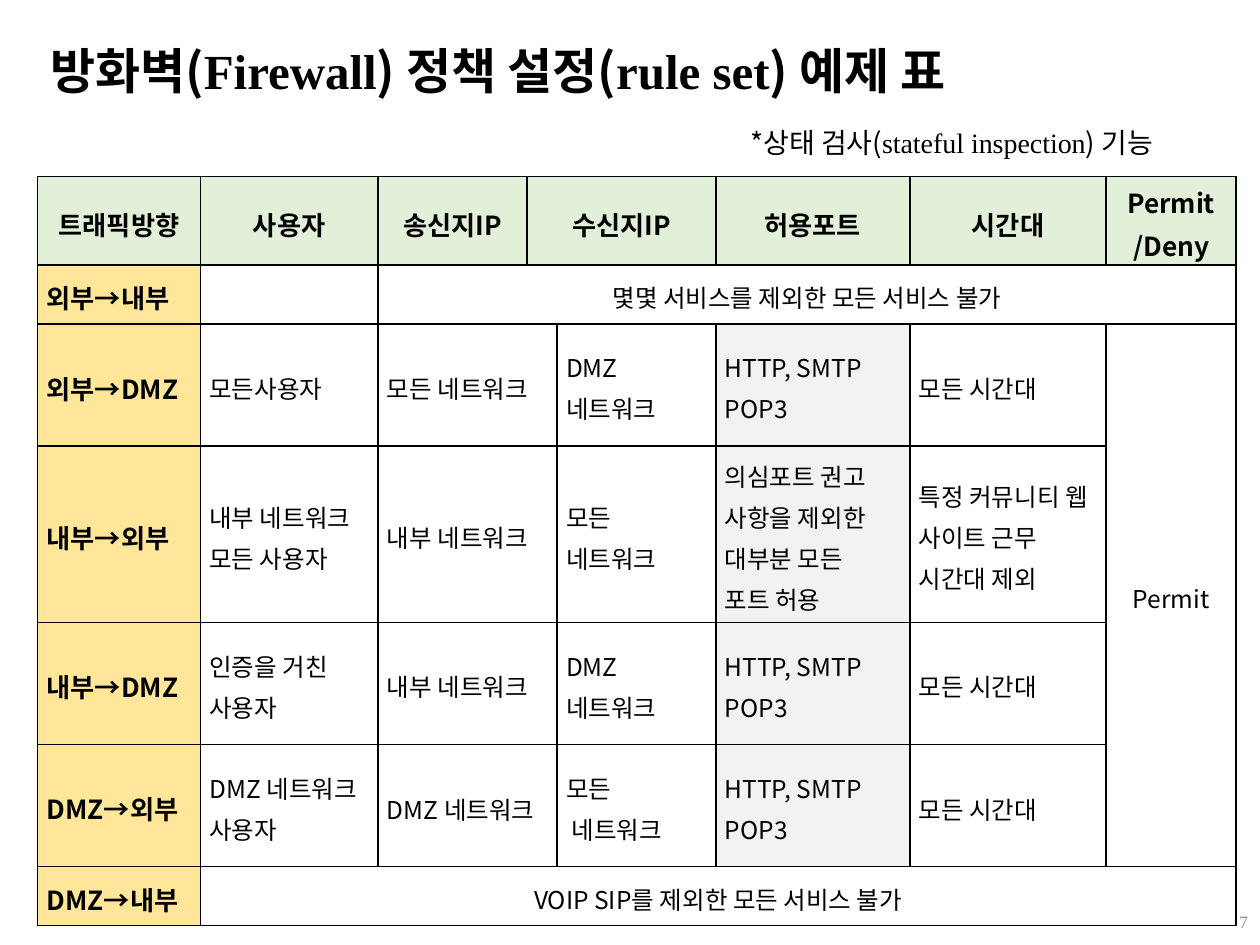
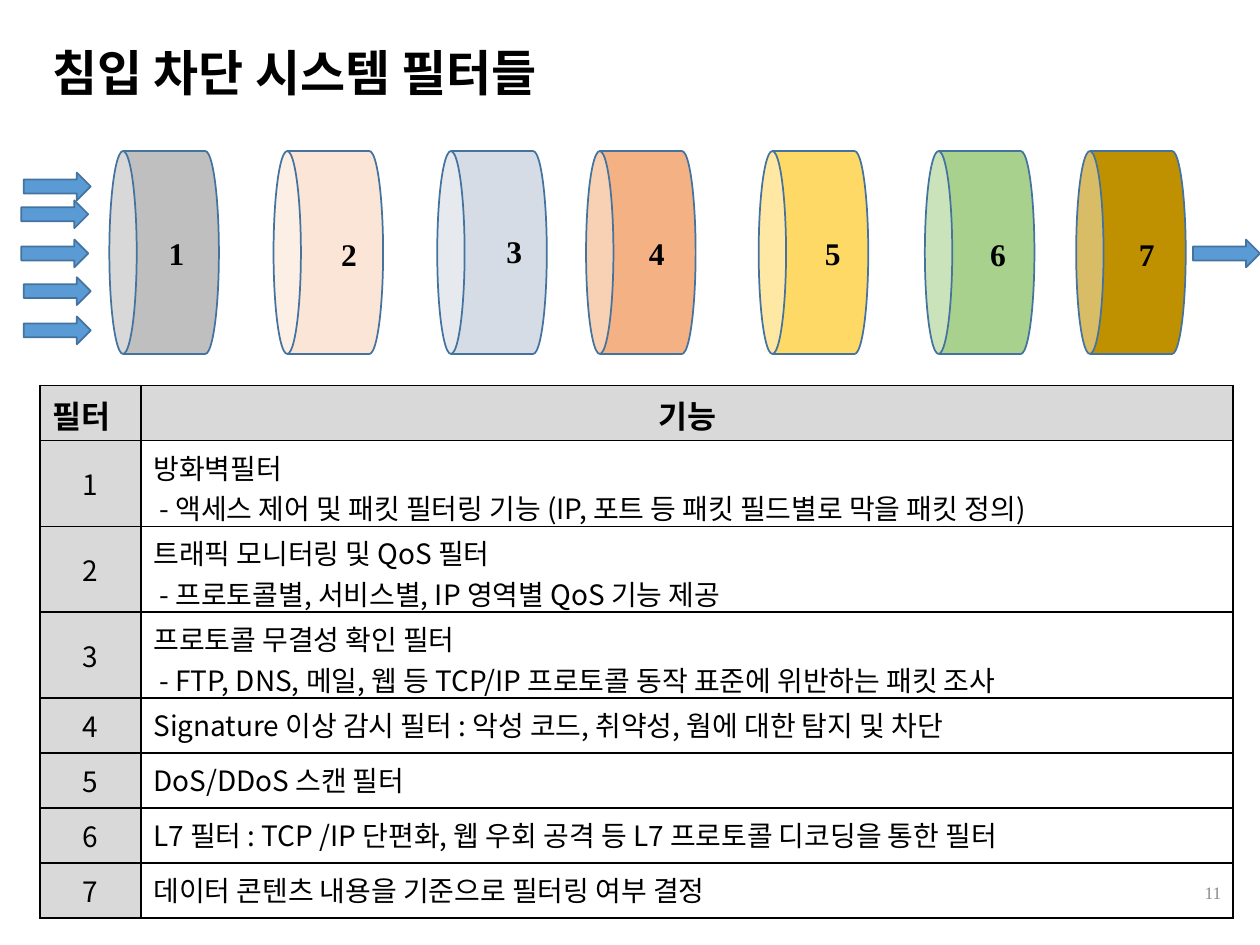
from dataclasses import dataclass

from lxml.etree import SubElement
from pptx import Presentation
from pptx.dml.color import RGBColor
from pptx.enum.shapes import MSO_SHAPE as SHAPE
from pptx.enum.text import MSO_ANCHOR as ANCHOR, MSO_AUTO_SIZE as AUTO, PP_ALIGN as ALIGN
from pptx.oxml.ns import qn
from pptx.util import Cm, Pt


@dataclass(frozen=True)
class Theme:
    sans: str = "Noto Sans CJK KR"
    serif: str = "Times New Roman"
    ink: str = "000000"
    muted: str = "8C8C8C"
    header: str = "E2F0D9"
    direction: str = "FFE699"
    port: str = "F2F2F2"
    grey: str = "D9D9D9"
    arrow: str = "5B9BD5"
    outline: str = "43739E"
    title: int = 28
    heading: int = 18
    body: int = 16
    rule_heading: int = 15
    rule: int = 14
    number: int = 10


T = Theme()
LEFT, ABOVE = "<", "^"

RULE_TITLE = [("방화벽(", T.sans), ("Firewall", T.serif), (") 정책 설정(", T.sans),
              ("rule set", T.serif), (") 예제 표", T.sans)]
RULE_NOTE = [("*상태 검사(", T.sans), ("stateful inspection", T.serif), (") 기능", T.sans)]
RULE_COLS = [3.28, 3.58, 3, 0.61, 3.2, 3.91, 3.96, 2.62]
RULE_HEIGHTS = [1.78, 1.19, 2.46, 3.56, 2.46, 2.46, 1.19]
MAIL_PORTS = "HTTP, SMTP\nPOP3"
RULES = [
    ["트래픽방향", "사용자", "송신지IP", "수신지IP", LEFT, "허용포트", "시간대", "Permit\n/Deny"],
    ["외부→내부", "", "몇몇 서비스를 제외한 모든 서비스 불가"] + [LEFT] * 5,
    ["외부→DMZ", "모든사용자", "모든 네트워크", LEFT, "DMZ\n네트워크", MAIL_PORTS,
     "모든 시간대", "Permit"],
    ["내부→외부", "내부 네트워크\n모든 사용자", "내부 네트워크", LEFT, "모든\n네트워크",
     "의심포트 권고 사항을 제외한\n대부분 모든\n포트 허용",
     "특정 커뮤니티 웹 사이트 근무 시간대 제외", ABOVE],
    ["내부→DMZ", "인증을 거친\n사용자", "내부 네트워크", LEFT, "DMZ\n네트워크", MAIL_PORTS,
     "모든 시간대", ABOVE],
    ["DMZ→외부", "DMZ 네트워크\n사용자", "DMZ 네트워크", LEFT, "모든\n 네트워크", MAIL_PORTS,
     "모든 시간대", ABOVE],
    ["DMZ→내부", "VOIP SIP를 제외한 모든 서비스 불가"] + [LEFT] * 6,
]

FILTER_TITLE = [("침입 차단 시스템 필터들", T.sans)]
FILTER_COLS = [2.03, 22.02]
FILTERS = [
    "방화벽필터\n - 액세스 제어 및 패킷 필터링 기능 (IP, 포트 등 패킷 필드별로 막을 패킷 정의)",
    "트래픽 모니터링 및 QoS 필터\n - 프로토콜별, 서비스별, IP 영역별 QoS 기능 제공",
    "프로토콜 무결성 확인 필터\n - FTP, DNS, 메일, 웹 등 TCP/IP 프로토콜 동작 표준에 위반하는 패킷 조사",
    "Signature 이상 감시 필터 : 악성 코드, 취약성, 웜에 대한 탐지 및 차단",
    "DoS/DDoS 스캔 필터",
    "L7 필터 : TCP /IP 단편화, 웹 우회 공격 등 L7 프로토콜 디코딩을 통한 필터",
    "데이터 콘텐츠 내용을 기준으로 필터링 여부 결정",
]
DISCS = [
    (3.31, "BFBFBF", 3.15, 4.6),
    (6.62, "FBE5D6", 6.63, 4.62),
    (9.92, "D6DCE5", 9.96, 4.55),
    (12.92, "F4B183", 12.83, 4.6),
    (16.4, "FFD966", 16.38, 4.6),
    (19.75, "A9D18E", 19.71, 4.62),
    (22.8, "BF9000", 22.71, 4.62),
]
DISC_Y, DISC_LENGTH, DISC_DEPTH = 5.09, 4.09, 2.21
ARROWS = [(0.48, 3.48), (0.43, 4.04), (0.43, 4.83), (0.48, 5.59), (0.48, 6.38), (24.05, 4.83)]
ARROW_SIZE = 1.35, 0.56


def rgb(value):
    return RGBColor.from_string(value)


def add_run(p, text, size, bold=False, font=T.sans, color=T.ink):
    r = p.add_run()
    r.text = text
    r.font.size, r.font.bold, r.font.name = Pt(size), bold, font
    r.font.color.rgb = rgb(color)
    SubElement(r.font._element, qn("a:ea")).set("typeface", T.sans)


def add_text(s, box, runs, size, bold=False, color=T.ink, align=ALIGN.LEFT,
             anchor=ANCHOR.TOP, wrap=False):
    tf = s.shapes.add_textbox(*map(Cm, box)).text_frame
    tf.word_wrap, tf.vertical_anchor = wrap, anchor
    p = tf.paragraphs[0]
    p.alignment = align
    for text, font in runs:
        add_run(p, text, size, bold, font, color)


def add_slide(prs, runs, box, anchor, number, number_at):
    s = prs.slides.add_slide(prs.slide_layouts[5])
    sp = s.shapes.title
    sp.left, sp.top, sp.width, sp.height = map(Cm, box)
    tf = sp.text_frame
    tf.auto_size, tf.word_wrap, tf.vertical_anchor = AUTO.NONE, True, anchor
    p = tf.paragraphs[0]
    p.alignment, p.line_spacing = ALIGN.LEFT, 0.9
    for text, font in runs:
        add_run(p, text, T.title, True, font)
    add_text(s, (*number_at, 5.72, 1.02), [(number, T.serif)], T.number,
             color=T.muted, align=ALIGN.RIGHT, anchor=ANCHOR.MIDDLE, wrap=True)
    return s


def add_grid(s, left, top, cols, heights):
    table = s.shapes.add_table(len(heights), len(cols), Cm(left), Cm(top),
                               Cm(sum(cols)), Cm(sum(heights))).table
    table.first_row = table.horz_banding = False
    for column, width in zip(table.columns, cols):
        column.width = Cm(width)
    for row, height in zip(table.rows, heights):
        row.height = Cm(height)
    for cell in table.iter_cells():
        tcPr = cell._tc.get_or_add_tcPr()
        for side in ("lnL", "lnR", "lnT", "lnB"):
            ln = SubElement(tcPr, qn(f"a:{side}"), w=str(Pt(1)))
            SubElement(SubElement(ln, qn("a:solidFill")), qn("a:srgbClr"), val=T.ink)
        cell.fill.background()
    return table


def fill_cell(cell, text, size, bold, align, anchor, fill=None, spacing=None):
    cell.vertical_anchor = anchor
    if fill:
        cell.fill.solid()
        cell.fill.fore_color.rgb = rgb(fill)
    for i, line in enumerate(text.split("\n")):
        p = cell.text_frame.add_paragraph() if i else cell.text_frame.paragraphs[0]
        p.alignment = align
        if spacing:
            p.line_spacing = spacing
        if line:
            add_run(p, line, size, bold)


def span_from(row, column):
    across, down = 1, 1
    while column + across < len(RULE_COLS) and RULES[row][column + across] == LEFT:
        across += 1
    while row + down < len(RULES) and RULES[row + down][column] == ABOVE:
        down += 1
    return across, down


def rule_fill(row, column):
    if row == 0:
        return T.header
    if column == 0:
        return T.direction
    return T.port if column == 5 else None


def build_rules(prs):
    s = add_slide(prs, RULE_TITLE, (0.76, 0.74, 21, 1.47), ANCHOR.MIDDLE, "7", (19.69, 18.06))
    table = add_grid(s, 0.76, 3.56, RULE_COLS, RULE_HEIGHTS)
    for i, row in enumerate(RULES):
        for j, text in enumerate(row):
            if text in (LEFT, ABOVE):
                continue
            cell = table.cell(i, j)
            across, down = span_from(i, j)
            if across * down > 1:
                cell.merge(table.cell(i + down - 1, j + across - 1))
            cell.margin_left = cell.margin_right = Cm(0.18)
            cell.margin_top = cell.margin_bottom = 0
            heading = i == 0 or j == 0
            centred = i == 0 or across > 2 or down > 1
            fill_cell(cell, text, T.rule_heading if heading else T.rule, heading,
                      ALIGN.CENTER if centred else ALIGN.LEFT, ANCHOR.MIDDLE,
                      rule_fill(i, j), 1.15)
    add_text(s, (14.88, 2.41, 9.19, 0.94), RULE_NOTE, T.body)


def add_preset(s, kind, box, fill):
    sp = s.shapes.add_shape(kind, *map(Cm, box))
    sp.shadow.inherit = False
    sp.fill.solid()
    sp.fill.fore_color.rgb = rgb(fill)
    sp.line.color.rgb = rgb(T.outline)
    sp.line.width = Pt(1)
    return sp


def build_filters(prs):
    s = add_slide(prs, FILTER_TITLE, (0.81, 0.86, 21.89, 3.68), ANCHOR.TOP, "11", (19.15, 17.48))
    for x, color, _, _ in DISCS:
        box = (x - DISC_LENGTH / 2, DISC_Y - DISC_DEPTH / 2, DISC_LENGTH, DISC_DEPTH)
        add_preset(s, SHAPE.CAN, box, color).rotation = 270
    for at in ARROWS:
        add_preset(s, SHAPE.RIGHT_ARROW, (*at, *ARROW_SIZE), T.arrow)
    for n, (_, _, x, y) in enumerate(DISCS, 1):
        add_text(s, (x, y, 0.84, 1.02), [(str(n), T.serif)], T.heading, True)

    heights = [1.11] + [1.73 if "\n" in text else 1.11 for text in FILTERS]
    table = add_grid(s, 0.81, 7.77, FILTER_COLS, heights)
    for j, (text, align) in enumerate([("필터", ALIGN.LEFT), ("기능", ALIGN.CENTER)]):
        fill_cell(table.cell(0, j), text, T.heading, True, align, ANCHOR.TOP, T.grey)
    for n, text in enumerate(FILTERS, 1):
        fill_cell(table.cell(n, 0), str(n), T.body, False, ALIGN.CENTER, ANCHOR.MIDDLE, T.grey)
        fill_cell(table.cell(n, 1), text, T.body, False, ALIGN.LEFT, ANCHOR.TOP)


def main():
    prs = Presentation()
    prs.slide_width, prs.slide_height = Cm(25.4), Cm(19.05)
    build_rules(prs)
    build_filters(prs)
    prs.save("out.pptx")


if __name__ == "__main__":
    main()
